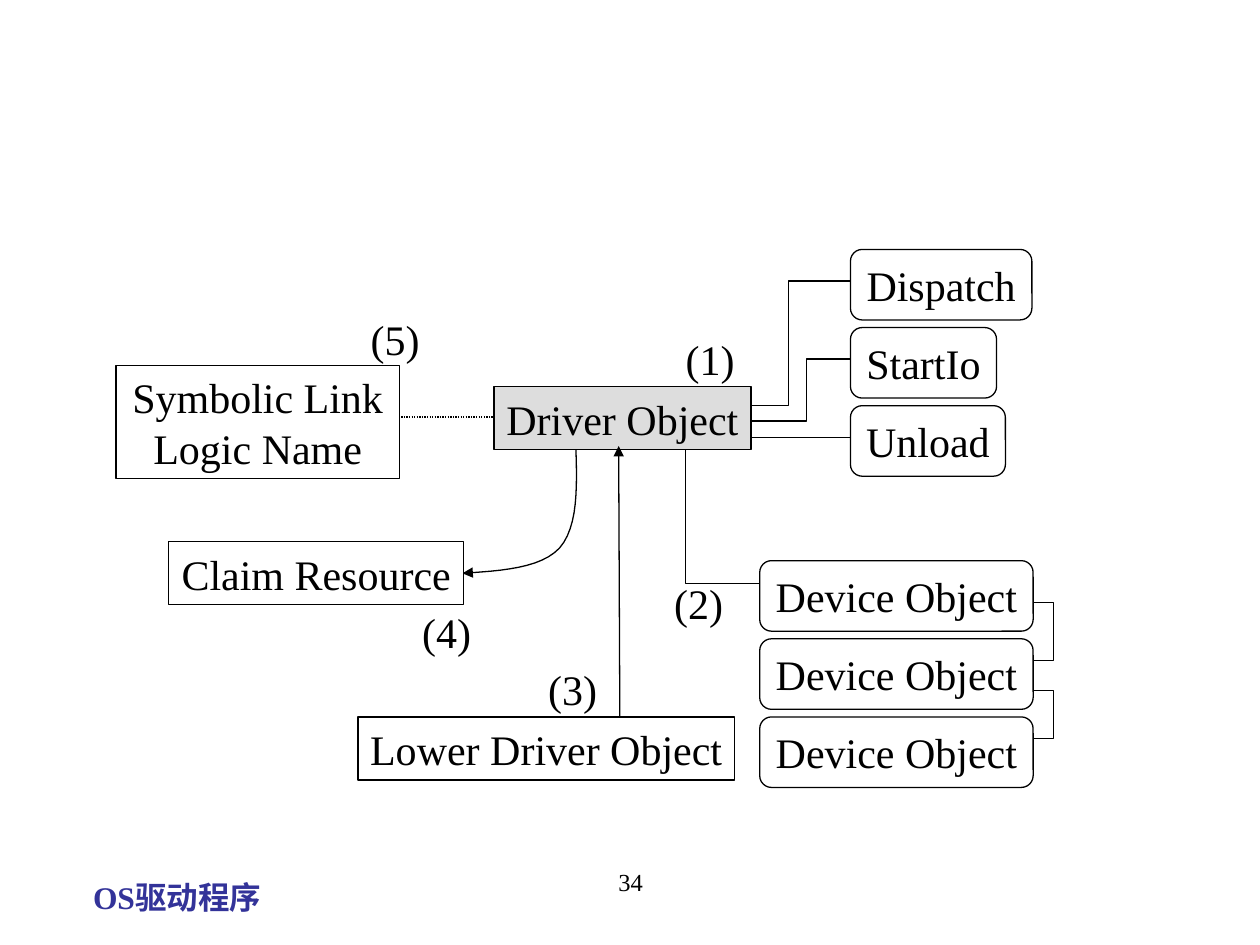
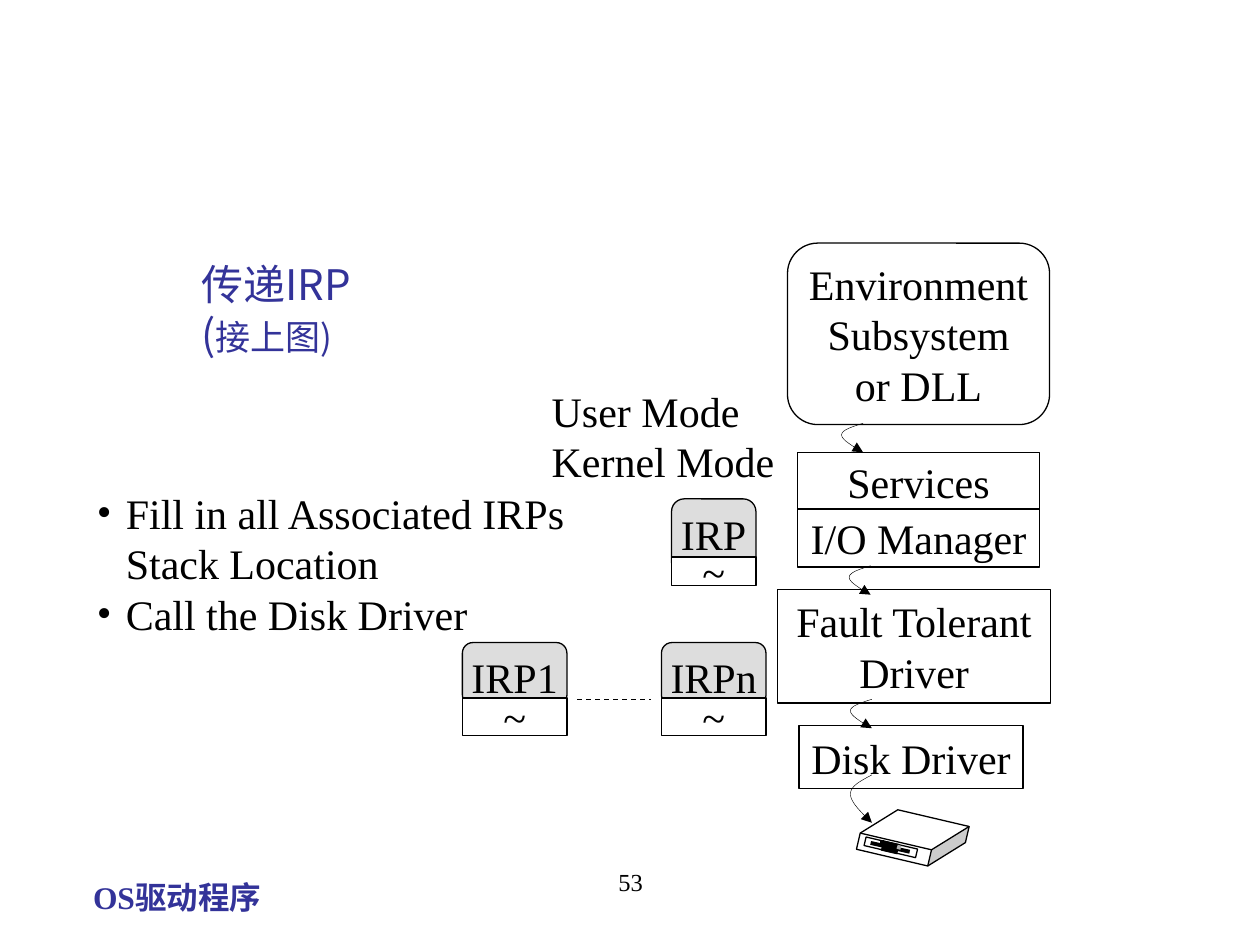
import lxml.etree
import pptx
import pptx.dml.color
import pptx.enum.dml
import pptx.enum.shapes
import pptx.enum.text
import pptx.oxml.ns
import pptx.util

Inches, Pt = pptx.util.Inches, pptx.util.Pt
RGBColor = pptx.dml.color.RGBColor
Preset = pptx.enum.shapes.MSO_SHAPE
Dash = pptx.enum.dml.MSO_LINE
Align = pptx.enum.text.PP_ALIGN
Anchor = pptx.enum.text.MSO_ANCHOR
qn = pptx.oxml.ns.qn

BLACK = RGBColor(0x00, 0x00, 0x00)
WHITE = RGBColor(0xFF, 0xFF, 0xFF)
NAVY = RGBColor(0x33, 0x33, 0x99)
PALE_GREY = RGBColor(0xDD, 0xDD, 0xDD)
MID_GREY = RGBColor(0xB2, 0xB2, 0xB2)
SERIF = "Times New Roman"
CJK = "Noto Sans CJK SC"
LINE_HEIGHT = 1.2
CORNER = 0.167

FOOTER = "OS驱动程序"

# Slide 1: boxes are (text, left, top, width, height)
DRIVER_OBJECT = ("Driver Object", 3.92, 3.07, 2.04, 0.5)
PLAIN_BOXES = [
    ("Lower Driver Object", 2.84, 5.69, 2.99, 0.5),
    ("Symbolic Link\nLogic Name", 0.92, 2.9, 2.25, 0.9),
    ("Claim Resource", 1.34, 4.3, 2.34, 0.5),
]
ROUTINES = [("Dispatch", 1.44), ("StartIo", 1.16), ("Unload", 1.23)]
ROUTINES_AT = (6.75, 1.98)
DEVICES = [("Device Object", 2.17)] * 3
DEVICES_AT = (6.03, 4.45)
STACK_PITCH, STACK_HEIGHT = 0.62, 0.56
STEPS = [("(1)", 5.34, 2.6), ("(2)", 5.25, 4.53), ("(3)", 4.25, 5.22),
         ("(4)", 3.25, 4.76), ("(5)", 2.84, 2.44)]
ELBOWS = [
    [(8.19, 4.78), (8.36, 4.78), (8.36, 5.24), (8.19, 5.24)],
    [(8.19, 5.48), (8.36, 5.48), (8.36, 5.86), (8.19, 5.86)],
    [(5.96, 3.34), (6.4, 3.34), (6.4, 2.85), (6.85, 2.85)],
    [(5.66, 3.22), (6.26, 3.22), (6.26, 2.23), (6.85, 2.23)],
    [(6.03, 4.63), (5.44, 4.63), (5.44, 3.54)],
]
CLAIM_CURVE = [(4.57, 3.54), (4.58, 3.86), (4.59, 4.18), (4.44, 4.35),
               (4.29, 4.51), (3.98, 4.53), (3.67, 4.55)]

# Slide 2
HEADING = ["传递IRP", [("(", 24), ("接上图)", 20)]]
TASKS = ["Fill in all Associated IRPs Stack Location", "Call the Disk Driver"]
MODES = ["User Mode", "Kernel Mode"]
ENVIRONMENT = ("Environment\nSubsystem\nor DLL", 6.25, 1.93, 2.08, 1.44)
DRIVER_LAYERS = [
    ("Services", 6.33, 3.59, 1.92, 0.46),
    ("I/O Manager", 6.33, 4.04, 1.92, 0.46),
    ("Fault Tolerant\nDriver", 6.17, 4.68, 2.17, 0.9),
    ("Disk Driver", 6.34, 5.76, 1.78, 0.5),
]
# (text, left, top, width, height, top and height of the stack location)
PACKETS = [
    ("IRP", 5.33, 3.96, 0.67, 0.6, 4.42, 0.23),
    ("IRPn", 5.25, 5.1, 0.83, 0.5, 5.54, 0.3),
    ("IRP1", 3.67, 5.1, 0.83, 0.5, 5.54, 0.3),
]
# (right, top, height) of the arrow from each layer to the next
CALLS = [(6.85, 3.36, 0.23), (6.91, 4.49, 0.23), (6.92, 5.55, 0.23), (6.92, 6.15, 0.38)]
CALL_DEPTH = 0.17
DISK_TILT = 13.2
DISK_SLOT = [  # start, end, weight, colour
    ((6.91, 6.69), (7.22, 6.76), 2.25, BLACK),
    ((7, 6.71), (7.13, 6.74), 6, BLACK),
    ((7, 6.67), (7, 6.71), 2.25, BLACK),
    ((7.14, 6.71), (7.13, 6.74), 2.25, MID_GREY),
]


def write(frame, text, size=24, font=SERIF, color=BLACK, bold=False,
          align=Align.CENTER, anchor=Anchor.MIDDLE, wrap=False, bullet=None):
    """Fill a frame; text is a string or a list of paragraphs, each a string or (text, size) runs."""
    frame.word_wrap = wrap
    frame.vertical_anchor = anchor
    for index, content in enumerate(text.split("\n") if isinstance(text, str) else text):
        paragraph = frame.paragraphs[0] if index == 0 else frame.add_paragraph()
        if bullet:
            properties = paragraph._p.get_or_add_pPr()
            properties.set("marL", str(Inches(0.23)))
            properties.set("indent", str(-Inches(0.23)))
            lxml.etree.SubElement(properties, qn("a:buFont")).set("typeface", font)
            lxml.etree.SubElement(properties, qn("a:buChar")).set("char", bullet)
        paragraph.alignment = align
        paragraph.line_spacing = Pt(LINE_HEIGHT * size)
        for words, run_size in [(content, size)] if isinstance(content, str) else content:
            run = paragraph.add_run()
            run.text = words
            run.font.name = font
            run.font.size = Pt(run_size)
            run.font.bold = bold
            run.font.color.rgb = color
            east_asian = lxml.etree.SubElement(run._r.get_or_add_rPr(), qn("a:ea"))
            east_asian.set("typeface", CJK)


def add_text(slide, text, left, top, width, height, **text_format):
    area = slide.shapes.add_textbox(*map(Inches, (left, top, width, height)))
    write(area.text_frame, text, **text_format)


def add_box(slide, text, left, top, width, height, preset=Preset.RECTANGLE,
            fill=WHITE, adjust=None, tilt=0, **text_format):
    box = slide.shapes.add_shape(preset, *map(Inches, (left, top, width, height)))
    box.shadow.inherit = False
    box.fill.solid()
    box.fill.fore_color.rgb = fill
    box.rotation = tilt
    if adjust is not None:
        box.adjustments[0] = adjust
    style_line(box)
    if text:
        write(box.text_frame, text, **text_format)


def add_rounded(slide, *content, **box_format):
    add_box(slide, *content, preset=Preset.ROUNDED_RECTANGLE, adjust=CORNER, **box_format)


def style_line(shape, weight=0.75, color=BLACK, dash=None, arrow=False):
    shape.line.color.rgb = color
    shape.line.width = Pt(weight)
    if dash:
        shape.line.dash_style = dash
    if arrow:
        tail = lxml.etree.SubElement(shape.line._get_or_add_ln(), qn("a:tailEnd"))
        tail.set("type", "triangle")


def add_line(slide, start, end, **line_format):
    straight = pptx.enum.shapes.MSO_CONNECTOR.STRAIGHT
    line = slide.shapes.add_connector(straight, *map(Inches, (*start, *end)))
    style_line(line, **line_format)
    lxml.etree.SubElement(line._element.spPr, qn("a:effectLst"))


def add_path(slide, points, **line_format):
    start, *rest = [(Inches(x), Inches(y)) for x, y in points]
    builder = slide.shapes.build_freeform(*start)
    builder.add_line_segments(rest, close=False)
    path = builder.convert_to_shape()
    path.shadow.inherit = False
    path.fill.background()
    style_line(path, **line_format)


def bezier(controls, steps=12):
    """Sample a chain of cubic curves given as start, then three points for each."""
    points = [controls[0]]
    for first in range(0, len(controls) - 1, 3):
        a, b, c, d = controls[first:first + 4]
        for step in range(1, steps + 1):
            t = step / steps
            weights = ((1 - t) ** 3, 3 * t * (1 - t) ** 2, 3 * t * t * (1 - t), t ** 3)
            points.append(tuple(sum(w * p[axis] for w, p in zip(weights, (a, b, c, d)))
                                for axis in (0, 1)))
    return points


def add_stack(slide, entries, left, top):
    for row, (text, width) in enumerate(entries):
        add_rounded(slide, text, left, top + row * STACK_PITCH, width, STACK_HEIGHT)


def add_call(slide, right, top, height):
    left, middle = right - CALL_DEPTH, top + 0.4 * height
    half = right - CALL_DEPTH / 2
    controls = [(right, top), (half, top + 0.12 * height), (left, top + 0.23 * height),
                (left, middle), (left, top + 0.57 * height), (half, top + 0.78 * height),
                (right, top + height)]
    add_path(slide, bezier(controls), weight=0.25, arrow=True)


def new_slide(deck, number):
    slide = deck.slides.add_slide(deck.slide_layouts[6])
    add_text(slide, FOOTER, 0.64, 6.92, 1.7, 0.4, size=18, color=NAVY, bold=True,
             align=Align.LEFT, anchor=Anchor.TOP)
    add_text(slide, number, 3.42, 6.83, 3.17, 0.5, size=14, anchor=Anchor.TOP, wrap=True)
    return slide


def build_driver_objects(deck):
    slide = new_slide(deck, "34")
    for elbow in ELBOWS:
        add_path(slide, elbow)
    add_path(slide, bezier(CLAIM_CURVE), arrow=True)
    add_line(slide, (5.96, 3.47), (7, 3.47))
    add_line(slide, (3, 3.31), (3.92, 3.31), dash=Dash.ROUND_DOT)
    add_stack(slide, ROUTINES, *ROUTINES_AT)
    add_stack(slide, DEVICES, *DEVICES_AT)
    add_box(slide, *DRIVER_OBJECT, fill=PALE_GREY)
    add_line(slide, (4.92, 5.78), (4.91, 3.54), arrow=True)
    for box in PLAIN_BOXES:
        add_box(slide, *box)
    for text, left, top in STEPS:
        add_text(slide, text, left, top, 0.59, 0.5)


def build_irp_passing(deck):
    slide = new_slide(deck, "53")
    add_text(slide, HEADING, 1.5, 2, 1.92, 0.9, font=CJK, color=NAVY,
             align=Align.LEFT, anchor=Anchor.TOP, wrap=True)
    add_text(slide, TASKS, 0.67, 3.82, 4.08, 1.3, align=Align.LEFT, wrap=True, bullet="•")
    add_text(slide, MODES, 4.28, 3.01, 1.97, 0.9, align=Align.LEFT)
    add_rounded(slide, *ENVIRONMENT)
    for layer in DRIVER_LAYERS:
        add_box(slide, *layer)
    for call in CALLS:
        add_call(slide, *call)
    add_box(slide, "", 6.83, 6.46, 0.83, 0.38, preset=Preset.CUBE, adjust=0.654, tilt=DISK_TILT)
    add_box(slide, "", 6.86, 6.69, 0.42, 0.07, tilt=DISK_TILT)
    for start, end, weight, color in DISK_SLOT:
        add_line(slide, start, end, weight=weight, color=color)
    for text, left, top, width, height, location_top, location_height in PACKETS:
        add_rounded(slide, text, left, top, width, height, fill=PALE_GREY, anchor=Anchor.TOP)
        add_box(slide, "~", left, location_top, width, location_height)
    add_line(slide, (4.58, 5.55), (5.17, 5.55), dash=Dash.DASH)


def main():
    deck = pptx.Presentation()
    deck.slide_width, deck.slide_height = Inches(10), Inches(7.5)
    build_driver_objects(deck)
    build_irp_passing(deck)
    deck.save("out.pptx")


if __name__ == "__main__":
    main()
